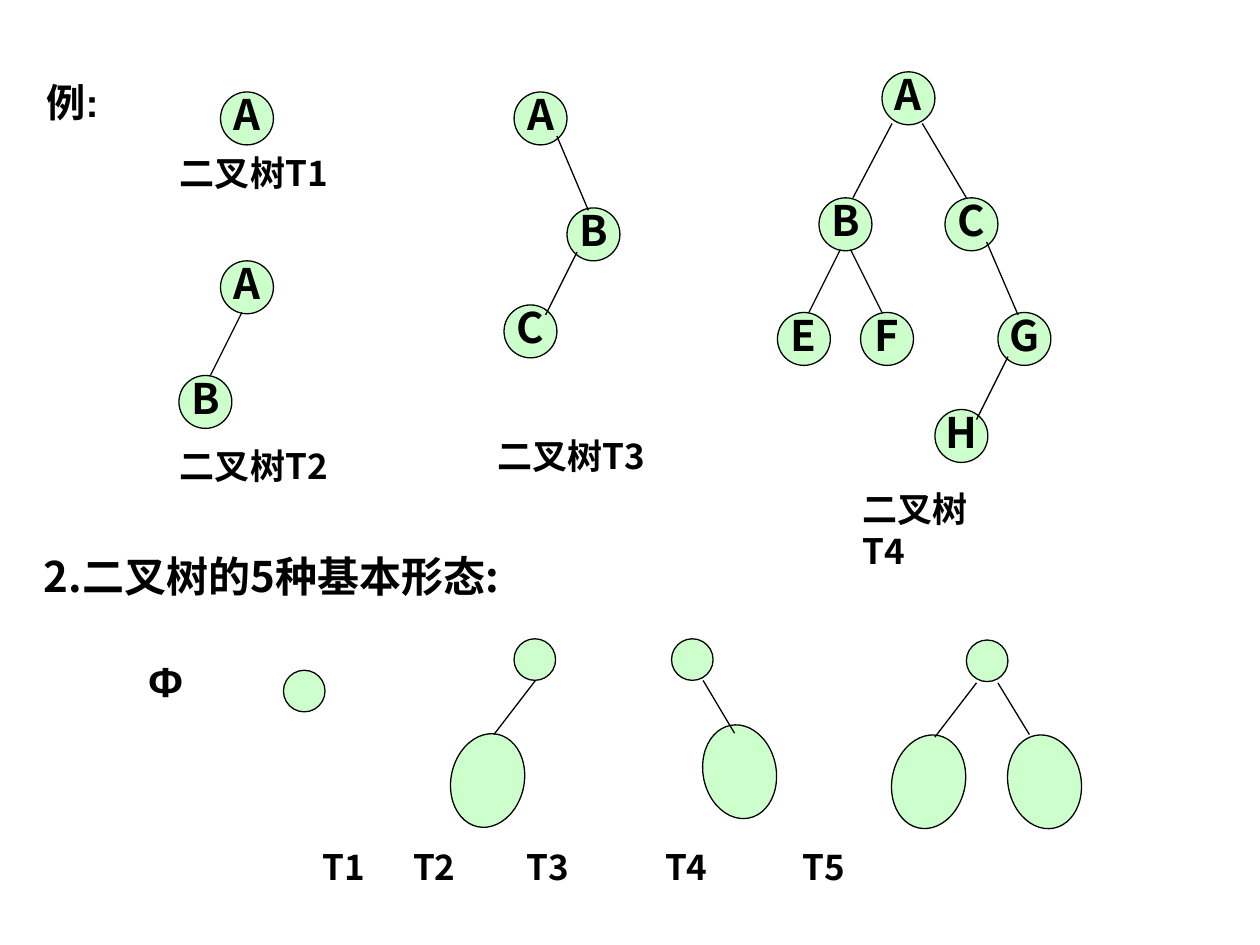
from lxml import etree
from pptx import Presentation
from pptx.dml.color import RGBColor
from pptx.enum.shapes import MSO_CONNECTOR, MSO_SHAPE
from pptx.enum.text import MSO_ANCHOR, PP_ALIGN
from pptx.oxml.ns import qn
from pptx.util import Inches, Pt

ELLIPSE = MSO_SHAPE.OVAL
STRAIGHT = MSO_CONNECTOR.STRAIGHT
CENTER = PP_ALIGN.CENTER
MIDDLE = MSO_ANCHOR.MIDDLE

COLORS = {"ink": "000000", "node": "CCFFCC"}
NOTO = "Noto Sans CJK SC"
ARIAL = "Arial"
NODE_SIZE = 0.42
ROOT_SIZE = 0.33
SUBTREE_WIDTH, SUBTREE_HEIGHT = 0.58, 0.75
LEFT_TILT, RIGHT_TILT = 12.5, 348.7

EXAMPLE_TREES = [
    {"nodes": [("A", 1.75, 0.73)], "edges": []},
    {
        "nodes": [("A", 1.75, 2.07), ("B", 1.42, 2.98)],
        "edges": [(1.92, 2.48, 1.67, 2.98)],
    },
    {
        "nodes": [("A", 4.08, 0.73), ("B", 4.5, 1.65), ("C", 4, 2.42)],
        "edges": [(4.42, 1.08, 4.67, 1.67), (4.58, 2, 4.33, 2.5)],
    },
    {
        "nodes": [
            ("A", 7, 0.57), ("B", 6.5, 1.57), ("C", 7.5, 1.57), ("E", 6.17, 2.48),
            ("F", 6.83, 2.48), ("G", 7.92, 2.48), ("H", 7.42, 3.25),
        ],
        "edges": [
            (7.08, 0.98, 6.77, 1.57), (7.32, 0.98, 7.67, 1.57),
            (6.67, 1.98, 6.42, 2.48), (6.75, 1.98, 7, 2.48),
            (7.83, 1.92, 8.08, 2.5), (8, 2.83, 7.75, 3.33),
        ],
    },
]

TREE_CAPTIONS = [
    ("二叉树T1", 1.33, 1.15, 1.42),
    ("二叉树T2", 1.33, 3.48, 1.42),
    ("二叉树T3", 3.85, 3.4, 1.42),
    ("二叉树T4", 6.75, 3.82, 1.33),
]

BASIC_FORMS = [
    {"root": (2.25, 5.32), "subtrees": [], "edges": []},
    {
        "root": (4.08, 5.07),
        "subtrees": [(3.58, 5.82, LEFT_TILT)],
        "edges": [(4.25, 5.4, 3.92, 5.83)],
    },
    {
        "root": (5.33, 5.07),
        "subtrees": [(5.58, 5.75, RIGHT_TILT)],
        "edges": [(5.58, 5.4, 5.83, 5.82)],
    },
    {
        "root": (7.67, 5.08),
        "subtrees": [(7.08, 5.83, LEFT_TILT), (8, 5.83, RIGHT_TILT)],
        "edges": [(7.75, 5.42, 7.42, 5.85), (7.92, 5.42, 8.17, 5.83)],
    },
]
FORM_LABELS = ["T1", "T2", "T3", "T4", "T5"]
FORM_LABEL_STOPS = [0.72, 1.62, 2.72, 3.81]


class TreeSlide:
    def __init__(self, slide):
        self.slide = slide

    def color(self, name):
        return RGBColor.from_string(COLORS[name])

    def style_text(self, paragraph, size, font):
        for run in paragraph.runs:
            run.font.name = font
            run.font.size = Pt(size)
            run.font.bold = True
            run.font.color.rgb = self.color("ink")

    def text(self, words, left, top, width, height, size=20, font=NOTO, stops=()):
        box = self.slide.shapes.add_textbox(
            Inches(left), Inches(top), Inches(width), Inches(height)
        )
        box.text_frame.word_wrap = True
        paragraph = box.text_frame.paragraphs[0]
        if stops:
            tabs = etree.SubElement(paragraph._p.get_or_add_pPr(), qn("a:tabLst"))
            for stop in stops:
                etree.SubElement(tabs, qn("a:tab"), pos=str(Inches(stop)), algn="l")
        paragraph.text = words
        self.style_text(paragraph, size, font)

    def ellipse(self, left, top, width, height, tilt=0):
        oval = self.slide.shapes.add_shape(
            ELLIPSE, Inches(left), Inches(top), Inches(width), Inches(height)
        )
        oval.rotation = tilt
        oval.shadow.inherit = False
        oval.fill.solid()
        oval.fill.fore_color.rgb = self.color("node")
        oval.line.color.rgb = self.color("ink")
        oval.line.width = Pt(0.75)
        return oval

    def node(self, letter, left, top):
        frame = self.ellipse(left, top, NODE_SIZE, NODE_SIZE).text_frame
        frame.word_wrap = False
        frame.vertical_anchor = MIDDLE
        frame.text = letter
        paragraph = frame.paragraphs[0]
        paragraph.alignment = CENTER
        paragraph.line_spacing = 0.8
        self.style_text(paragraph, 24, NOTO)

    def edge(self, x1, y1, x2, y2):
        branch = self.slide.shapes.add_connector(
            STRAIGHT, Inches(x1), Inches(y1), Inches(x2), Inches(y2)
        )
        branch.line.color.rgb = self.color("ink")
        branch.line.width = Pt(0.75)
        etree.SubElement(branch._element.spPr, qn("a:effectLst"))


def main():
    deck = Presentation()
    deck.slide_width, deck.slide_height = Inches(10), Inches(7.5)
    page = TreeSlide(deck.slides.add_slide(deck.slide_layouts[6]))

    page.text("例:", 0.27, 0.57, 0.93, 0.5, size=22.4, font=ARIAL)
    for tree in EXAMPLE_TREES:
        for node in tree["nodes"]:
            page.node(*node)
        for edge in tree["edges"]:
            page.edge(*edge)
    for caption, left, top, width in TREE_CAPTIONS:
        page.text(caption, left, top, width, 0.77)

    page.text("2.二叉树的5种基本形态:", 0.25, 4.32, 3.92, 0.9, size=24)
    page.text("Φ", 1.08, 5.15, 0.58, 0.5, size=24, font=ARIAL)
    for form in BASIC_FORMS:
        page.ellipse(*form["root"], ROOT_SIZE, ROOT_SIZE)
        for left, top, tilt in form["subtrees"]:
            page.ellipse(left, top, SUBTREE_WIDTH, SUBTREE_HEIGHT, tilt)
        for edge in form["edges"]:
            page.edge(*edge)
    page.text("\t".join(FORM_LABELS), 2.46, 6.66, 4.62, 0.44, stops=FORM_LABEL_STOPS)

    deck.save("out.pptx")


if __name__ == "__main__":
    main()
